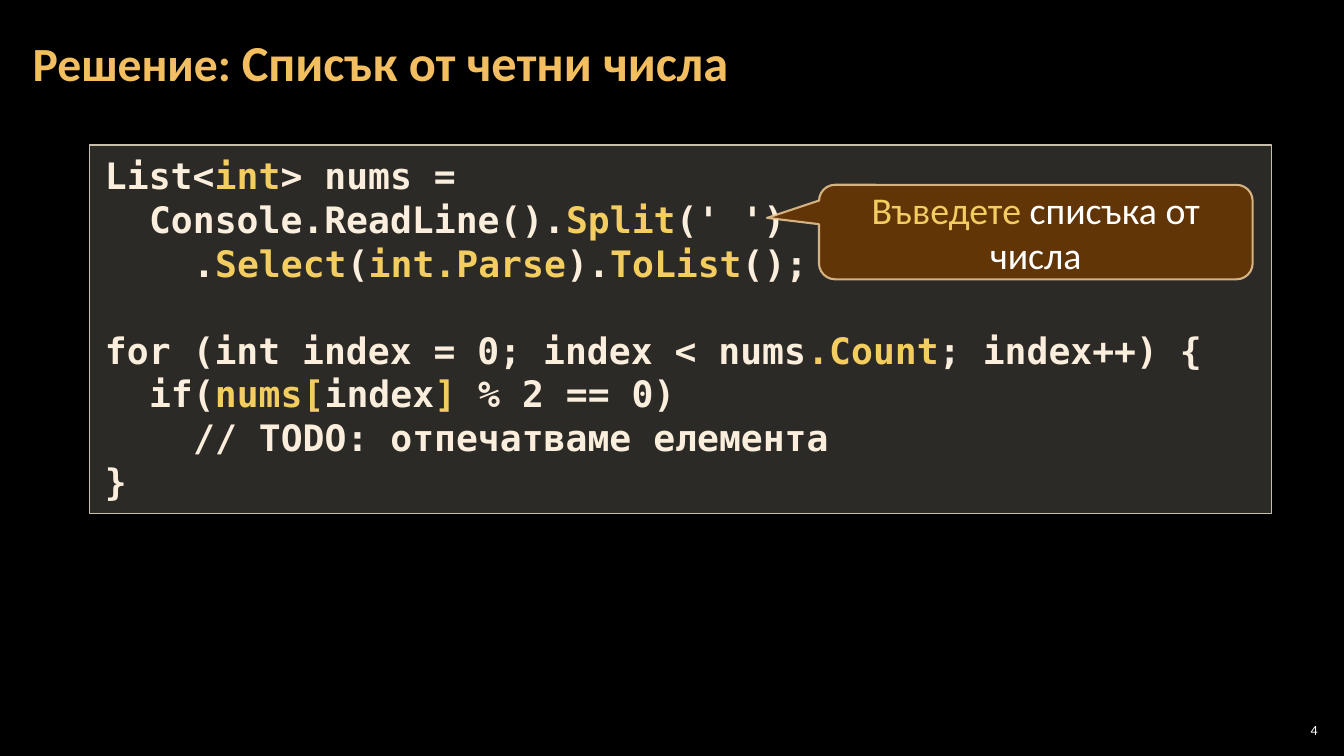
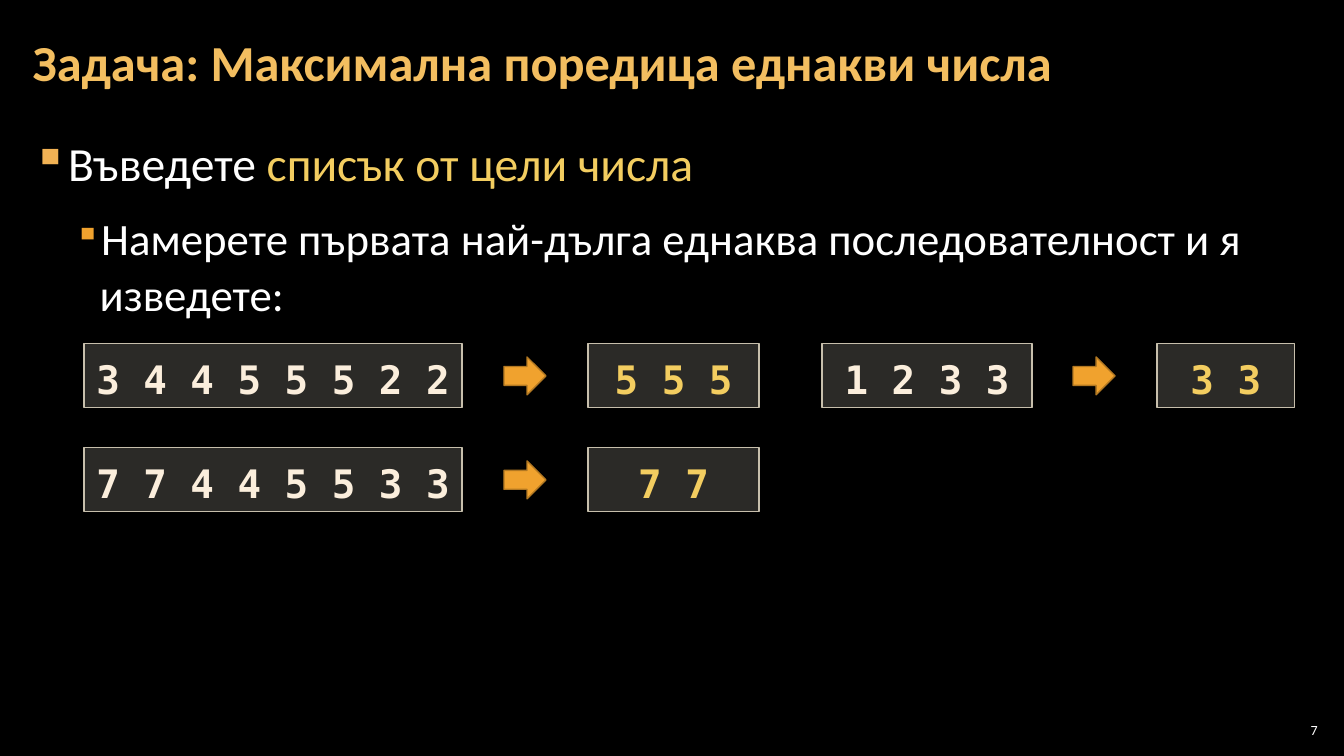
from dataclasses import dataclass

from lxml import etree
from pptx import Presentation
from pptx.dml.color import RGBColor
from pptx.enum.shapes import MSO_SHAPE
from pptx.enum.text import MSO_ANCHOR, MSO_AUTO_SIZE, PP_ALIGN
from pptx.oxml.ns import qn
from pptx.util import Emu, Pt

RECTANGLE = MSO_SHAPE.RECTANGLE
ARROW = MSO_SHAPE.RIGHT_ARROW
CALLOUT = MSO_SHAPE.ROUNDED_RECTANGULAR_CALLOUT
TOP, MIDDLE = MSO_ANCHOR.TOP, MSO_ANCHOR.MIDDLE
LEFT, CENTER, RIGHT = PP_ALIGN.LEFT, PP_ALIGN.CENTER, PP_ALIGN.RIGHT
GROW, FIXED = MSO_AUTO_SIZE.SHAPE_TO_FIT_TEXT, MSO_AUTO_SIZE.NONE
TITLE_ONLY = 5


@dataclass(frozen=True)
class Theme:
    background: str = "000000"
    text: str = "FFFFFF"
    title: str = "F3BE60"
    accent: str = "F3CD60"
    code: str = "FBEEDC"
    panel: str = "D9D5C7"
    panel_line: str = "C7BFAC"
    callout: str = "663606"
    callout_line: str = "F8D49E"
    arrow: str = "F0A22E"
    arrow_line: str = "B27822"
    bullets: tuple = ("F2B254", "F0A22E")
    font: str = "Calibri"
    mono: str = "DejaVu Sans Mono"
    title_size: int = 36
    title_lead_size: int = 34
    body_sizes: tuple = (34, 32)
    code_size: int = 26
    sample_size: int = 28
    callout_size: int = 27
    number_size: int = 10


def px(length):
    return Emu(length * 9525)


def rgb(color):
    return RGBColor.from_string(color)


def write(para, text, font, size, color, accent=None, accent_size=None,
          bold=False, align=LEFT, spacing=1.0, before=0, after=0):
    para.alignment, para.line_spacing = align, spacing
    para.space_before, para.space_after = Pt(before), Pt(after)
    for index, part in enumerate(text.split("|")):
        if not part:
            continue
        marked = index % 2 == 1
        span = para.add_run()
        span.text = part
        span.font.name, span.font.bold = font, bold
        span.font.size = Pt(accent_size if marked and accent_size else size)
        span.font.color.rgb = rgb(accent if marked else color)


def indent(para, margin, first=0):
    properties = para._p.get_or_add_pPr()
    properties.set("marL", str(px(margin)))
    properties.set("indent", str(px(first)))
    return properties


def fade(parent, percent):
    color = parent.find(qn("a:solidFill")).find(qn("a:srgbClr"))
    etree.SubElement(color, qn("a:alpha"), val=str(percent * 1000))


class Slides:
    """Builds dark slides in one shared style."""

    def __init__(self, theme):
        self.theme = theme
        self.deck = Presentation()
        self.deck.slide_width, self.deck.slide_height = px(1280), px(720)
        fill = self.deck.slide_master.background.fill
        fill.solid()
        fill.fore_color.rgb = rgb(theme.background)
        self.page = None

    def frame(self, box, sides=10, ends=5, anchor=TOP, fit=FIXED):
        frame = box.text_frame
        frame.word_wrap, frame.auto_size = True, fit
        frame.vertical_anchor = anchor
        frame.margin_left = frame.margin_right = px(sides)
        frame.margin_top = frame.margin_bottom = px(ends)
        return frame

    def text_box(self, left, top, width, height, **layout):
        area = map(px, (left, top, width, height))
        return self.frame(self.page.shapes.add_textbox(*area), **layout)

    def shape(self, kind, left, top, width, height, fill, line, weight=1, opacity=100):
        box = self.page.shapes.add_shape(kind, *map(px, (left, top, width, height)))
        box.shadow.inherit = False
        box.fill.solid()
        box.fill.fore_color.rgb = rgb(fill)
        box.line.color.rgb = rgb(line)
        box.line.width = Pt(weight)
        if opacity < 100:
            fade(box.element.spPr, opacity)
        return box

    def start(self, title, number):
        theme = self.theme
        self.page = self.deck.slides.add_slide(self.deck.slide_layouts[TITLE_ONLY])
        box = self.page.shapes.title
        box.left, box.top, box.width, box.height = map(px, (20, 4, 1020, 116))
        frame = self.frame(box, sides=11, ends=4, anchor=MIDDLE)
        write(frame.paragraphs[0], title, theme.font, theme.title_lead_size,
              theme.title, theme.title, theme.title_size, bold=True, spacing=0.9)
        frame = self.text_box(1214, 685, 45, 20, sides=4, ends=4, anchor=MIDDLE)
        write(frame.paragraphs[0], str(number), theme.font, theme.number_size,
              theme.text, align=RIGHT)

    def panel(self, left, top, width, height, **layout):
        box = self.shape(RECTANGLE, left, top, width, height,
                         self.theme.panel, self.theme.panel_line, opacity=20)
        return self.frame(box, fit=GROW, **layout)

    def code(self, left, top, width, height, lines):
        theme = self.theme
        frame = self.panel(left, top, width, height, sides=15, ends=8)
        for index, (level, before, text) in enumerate(lines):
            para = frame.add_paragraph() if index else frame.paragraphs[0]
            write(para, text, theme.mono, theme.code_size, theme.code,
                  theme.accent, bold=True, before=before)
            indent(para, 42 * level)

    def callout(self, left, top, width, height, text, tip):
        theme = self.theme
        box = self.shape(CALLOUT, left, top, width, height, theme.callout,
                         theme.callout_line, weight=1.5, opacity=95)
        fade(box.line._ln, 80)
        for index, value in enumerate(tip):
            box.adjustments[index] = value
        frame = self.frame(box, anchor=MIDDLE)
        write(frame.paragraphs[0], text, theme.font, theme.callout_size,
              theme.text, theme.accent, align=CENTER)

    def bullets(self, left, top, width, height, lines):
        theme = self.theme
        frame = self.text_box(left, top, width, height, sides=11, ends=4)
        for level, text in enumerate(lines):
            para = frame.add_paragraph() if level else frame.paragraphs[0]
            para.level = level
            write(para, text, theme.font, theme.body_sizes[level], theme.text,
                  theme.accent, spacing=1.05, before=6, after=6)
            properties = indent(para, 32 * (level + 1), (-32, -24)[level])
            color = etree.SubElement(properties, qn("a:buClr"))
            etree.SubElement(color, qn("a:srgbClr"), val=theme.bullets[level])
            size = (100, 80)[level] * 1000
            etree.SubElement(properties, qn("a:buSzPct"), val=str(size))
            etree.SubElement(properties, qn("a:buChar"), char="▪")

    def sample(self, top, given, result):
        theme = self.theme
        for left, width, text, color in ((*given, theme.code), (*result, theme.accent)):
            frame = self.panel(left, top, width, 61)
            write(frame.paragraphs[0], text, theme.mono, theme.sample_size,
                  color, bold=True, align=CENTER, spacing=1.15)
        self.shape(ARROW, result[0] - 80, top + 13, 40, 36, theme.arrow, theme.arrow_line)


def main():
    slides = Slides(Theme())

    slides.start("Решение: |Списък от четни числа", 4)
    slides.code(85, 138, 1126, 351, (
        (0, 0, "List<|int|> nums ="),
        (1, 0, "Console.ReadLine().|Split|(' ')"),
        (2, 0, ".|Select|(|int.Parse|).|ToList|();"),
        (0, 31, "for (int index = 0; index < nums|.Count|; index++) {"),
        (1, 0, "if(|nums[|index|] |% 2 == 0)"),
        (2, 0, "// TODO: отпечатваме елемента"),
        (0, 0, "}"),
    ))
    slides.callout(780, 176, 413, 90, "|Въведете |списъка от числа", (-0.62, -0.15, 0.17))

    slides.start("|Задача: Максимална поредица еднакви числа", 7)
    slides.bullets(20, 121, 1239, 585, (
        "Въведете |списък от цели числа",
        "Намерете първата най-дълга еднаква последователност и я изведете:",
    ))
    slides.sample(327, (80, 360, "3 4 4 5 5 5 2 2"), (560, 163, "5 5 5"))
    slides.sample(426, (80, 360, "7 7 4 4 5 5 3 3"), (560, 163, "7 7"))
    slides.sample(327, (783, 200, "1 2 3 3"), (1102, 131, "3 3"))

    slides.deck.save("out.pptx")


if __name__ == "__main__":
    main()
